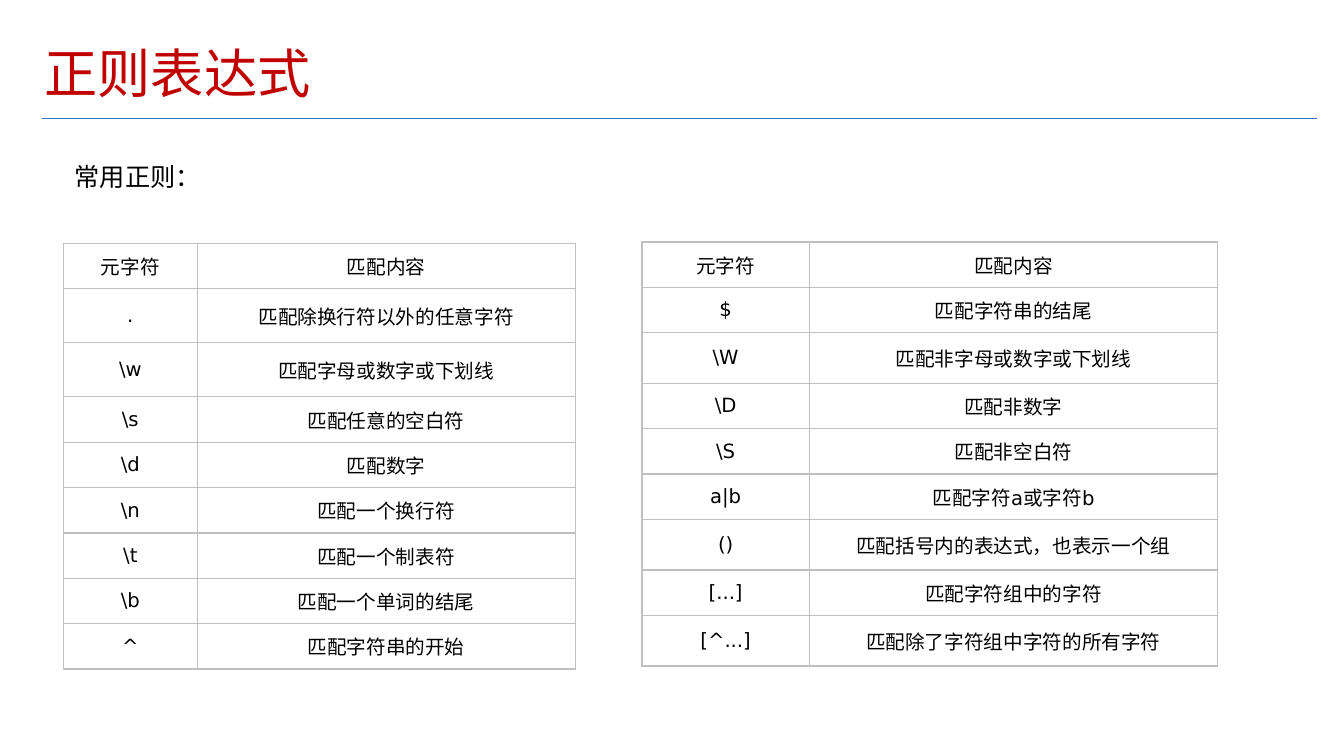
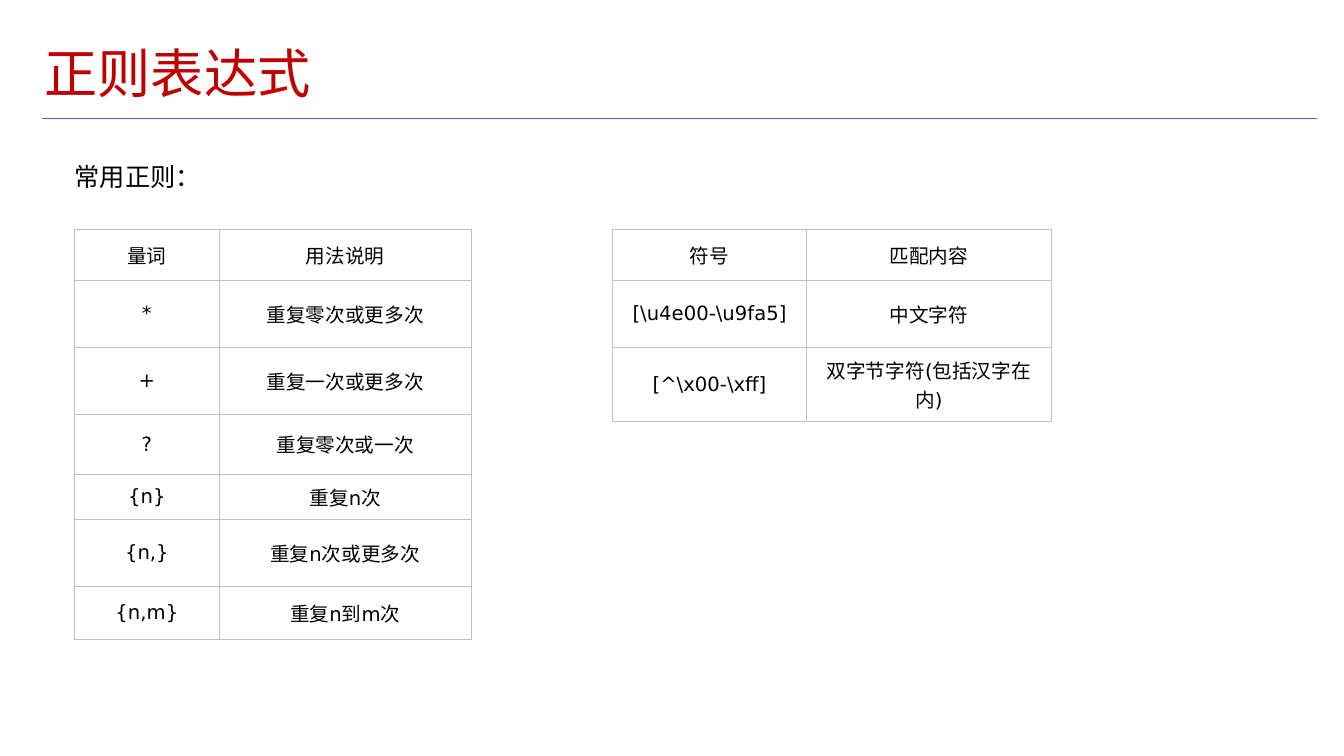
from dataclasses import dataclass

from lxml import etree
from pptx import Presentation
from pptx import util as u
from pptx.dml.color import RGBColor
from pptx.enum import shapes, text
from pptx.oxml import ns


@dataclass(frozen=True)
class Theme:
    title_color: str = "C00000"
    text_color: str = "000000"
    rule_color: str = "3F6FC3"
    border_color: str = "C0C0C0"
    cell_color: str = "FFFFFF"
    heading_font: str = "Calibri"
    cell_font: str = "DejaVu Sans"
    asian_font: str = "Noto Sans CJK SC"
    title_size: float = 38
    body_size: float = 18
    cell_size: float = 14
    rule_width: float = 0.75
    border_width: float = 1


@dataclass(frozen=True)
class PatternTable:
    """Place, column widths and row heights are percentages of the slide."""
    left: float
    top: float
    columns: tuple[float, float]
    heights: tuple[float, ...]
    rows: tuple[tuple[str, str], ...]


THEME = Theme()
WIDTH, HEIGHT = u.Inches(13.33), u.Inches(7.5)
TITLE = "正则表达式"
LEAD = "常用正则："

# Row heights
SHORT, MEDIUM, TALL, ROOMY = 6, 6.7, 7.15, 8.85

SLIDES = (
    (
        PatternTable(
            4.73, 32.2, (9.94, 28.13),
            (SHORT, TALL, TALL, *[SHORT] * 6),
            (
                ("元字符", "匹配内容"),
                (".", "匹配除换行符以外的任意字符"),
                (r"\w", "匹配字母或数字或下划线"),
                (r"\s", "匹配任意的空白符"),
                (r"\d", "匹配数字"),
                (r"\n", "匹配一个换行符"),
                (r"\t", "匹配一个制表符"),
                (r"\b", "匹配一个单词的结尾"),
                ("^", "匹配字符串的开始"),
            ),
        ),
        PatternTable(
            47.77, 32, (12.45, 30.38),
            (SHORT, SHORT, MEDIUM, SHORT, SHORT, SHORT, MEDIUM, SHORT, MEDIUM),
            (
                ("元字符", "匹配内容"),
                ("$", "匹配字符串的结尾"),
                (r"\W", "匹配非字母或数字或下划线"),
                (r"\D", "匹配非数字"),
                (r"\S", "匹配非空白符"),
                ("a|b", "匹配字符a或字符b"),
                ("()", "匹配括号内的表达式，也表示一个组"),
                ("[...]", "匹配字符组中的字符"),
                ("[^...]", "匹配除了字符组中字符的所有字符"),
            ),
        ),
    ),
    (
        PatternTable(
            5.55, 30.4, (10.76, 18.75),
            (MEDIUM, ROOMY, ROOMY, 7.95, SHORT, ROOMY, 7),
            (
                ("量词", "用法说明"),
                ("*", "重复零次或更多次"),
                ("+", "重复一次或更多次"),
                ("?", "重复零次或一次"),
                ("{n}", "重复n次"),
                ("{n,}", "重复n次或更多次"),
                ("{n,m}", "重复n到m次"),
            ),
        ),
        PatternTable(
            45.6, 30.4, (14.4, 18.23),
            (MEDIUM, ROOMY, 9.8),
            (
                ("符号", "匹配内容"),
                (r"[\u4e00-\u9fa5]", "中文字符"),
                (r"[^\x00-\xff]", "双字节字符(包括汉字在内)"),
            ),
        ),
    ),
)


def across(percent: float) -> int:
    return round(WIDTH * percent / 100)


def down(percent: float) -> int:
    return round(HEIGHT * percent / 100)


def write(frame, content: str, *, size: float, font: str,
          color: str = THEME.text_color, align=text.PP_ALIGN.LEFT,
          line_spacing: float = 1) -> None:
    """Fill a text frame with one unbulleted, formatted paragraph."""
    paragraph = frame.paragraphs[0]
    properties = paragraph._p.get_or_add_pPr()
    properties.set("marL", "0")
    properties.set("indent", "0")
    etree.SubElement(properties, ns.qn("a:buNone"))
    paragraph.alignment = align
    paragraph.line_spacing = line_spacing
    paragraph.space_before = u.Pt(0)
    run = paragraph.add_run()
    run.text = content
    run.font.size = u.Pt(size)
    run.font.color.rgb = RGBColor.from_string(color)
    run.font.name = font
    asian = etree.SubElement(run._r.get_or_add_rPr(), ns.qn("a:ea"))
    asian.set("typeface", THEME.asian_font)


def place(shape, left: float, top: float, width: float, height: float) -> None:
    shape.left, shape.top = across(left), down(top)
    shape.width, shape.height = across(width), down(height)


def prepare_frame(frame, anchor) -> None:
    frame.word_wrap = True
    frame.auto_size = text.MSO_AUTO_SIZE.NONE
    frame.vertical_anchor = anchor
    frame.margin_left = frame.margin_right = u.Inches(0.05)
    frame.margin_top = frame.margin_bottom = u.Inches(0.05)


def add_rule_to_layout(slide, layout) -> None:
    """Draw the title rule on a slide, then move it to the shared layout."""
    rule = slide.shapes.add_connector(
        shapes.MSO_CONNECTOR.STRAIGHT,
        across(3.15), down(15.67), across(97.97), down(15.67))
    rule.line.color.rgb = RGBColor.from_string(THEME.rule_color)
    rule.line.width = u.Pt(THEME.rule_width)
    etree.SubElement(rule.element.spPr, ns.qn("a:effectLst"))
    layout.shapes.element.append(rule.element)


def add_borders(cell) -> None:
    properties = cell._tc.get_or_add_tcPr()
    for side in ("lnL", "lnR", "lnT", "lnB"):
        border = etree.SubElement(properties, ns.qn(f"a:{side}"))
        border.set("w", str(u.Pt(THEME.border_width)))
        fill = etree.SubElement(border, ns.qn("a:solidFill"))
        color = etree.SubElement(fill, ns.qn("a:srgbClr"))
        color.set("val", THEME.border_color)


def format_cell(cell, content: str) -> None:
    cell.margin_left = cell.margin_right = u.Inches(0.15)
    cell.margin_top = cell.margin_bottom = u.Inches(0.08)
    cell.vertical_anchor = text.MSO_ANCHOR.MIDDLE
    add_borders(cell)
    cell.fill.solid()
    cell.fill.fore_color.rgb = RGBColor.from_string(THEME.cell_color)
    write(cell.text_frame, content, size=THEME.cell_size,
          font=THEME.cell_font, align=text.PP_ALIGN.CENTER)


def add_pattern_table(slide, pattern: PatternTable) -> None:
    table = slide.shapes.add_table(
        len(pattern.rows), len(pattern.columns),
        across(pattern.left), down(pattern.top),
        across(sum(pattern.columns)), down(sum(pattern.heights))).table
    table.first_row = table.horz_banding = False
    for column, width in zip(table.columns, pattern.columns):
        column.width = across(width)
    for row, height, contents in zip(table.rows, pattern.heights, pattern.rows):
        row.height = down(height)
        for cell, content in zip(row.cells, contents):
            format_cell(cell, content)


def add_slide(presentation, layout, tables: tuple[PatternTable, ...]):
    slide = presentation.slides.add_slide(layout)
    title, body = slide.placeholders
    prepare_frame(title.text_frame, text.MSO_ANCHOR.MIDDLE)
    write(title.text_frame, TITLE, size=THEME.title_size,
          font=THEME.heading_font, color=THEME.title_color, line_spacing=0.9)
    prepare_frame(body.text_frame, text.MSO_ANCHOR.TOP)
    write(body.text_frame, LEAD, size=THEME.body_size,
          font=THEME.heading_font, line_spacing=1.3)
    for pattern in tables:
        add_pattern_table(slide, pattern)
    return slide


def main() -> None:
    presentation = Presentation()
    presentation.slide_width, presentation.slide_height = WIDTH, HEIGHT
    layout = presentation.slide_layouts[1]
    place(layout.placeholders[0], 2.93, 5.33, 83.5, 9.47)
    place(layout.placeholders[1], 5.18, 19.47, 45.69, 77.2)
    slides = [add_slide(presentation, layout, tables) for tables in SLIDES]
    add_rule_to_layout(slides[0], layout)
    presentation.save("out.pptx")


if __name__ == "__main__":
    main()
